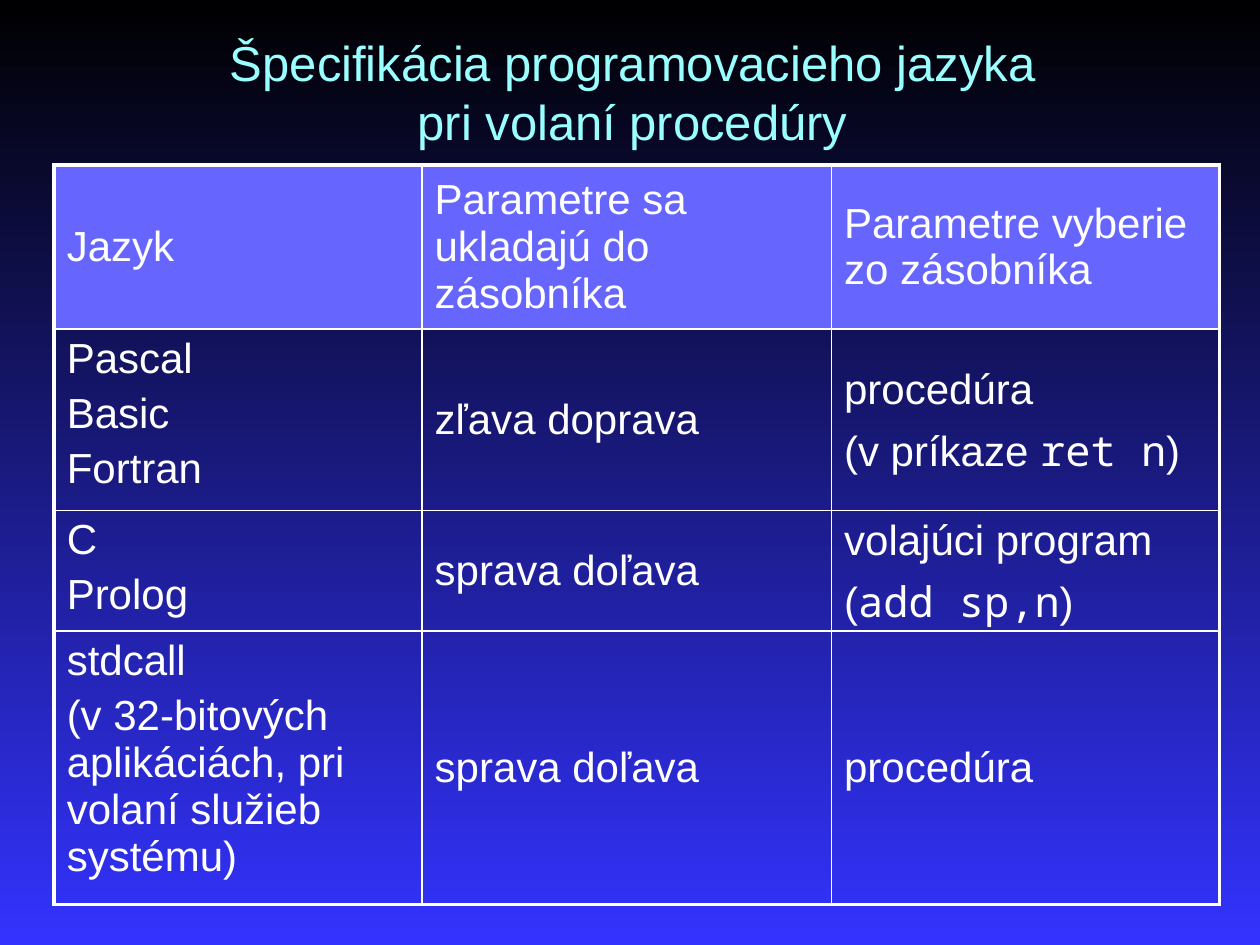
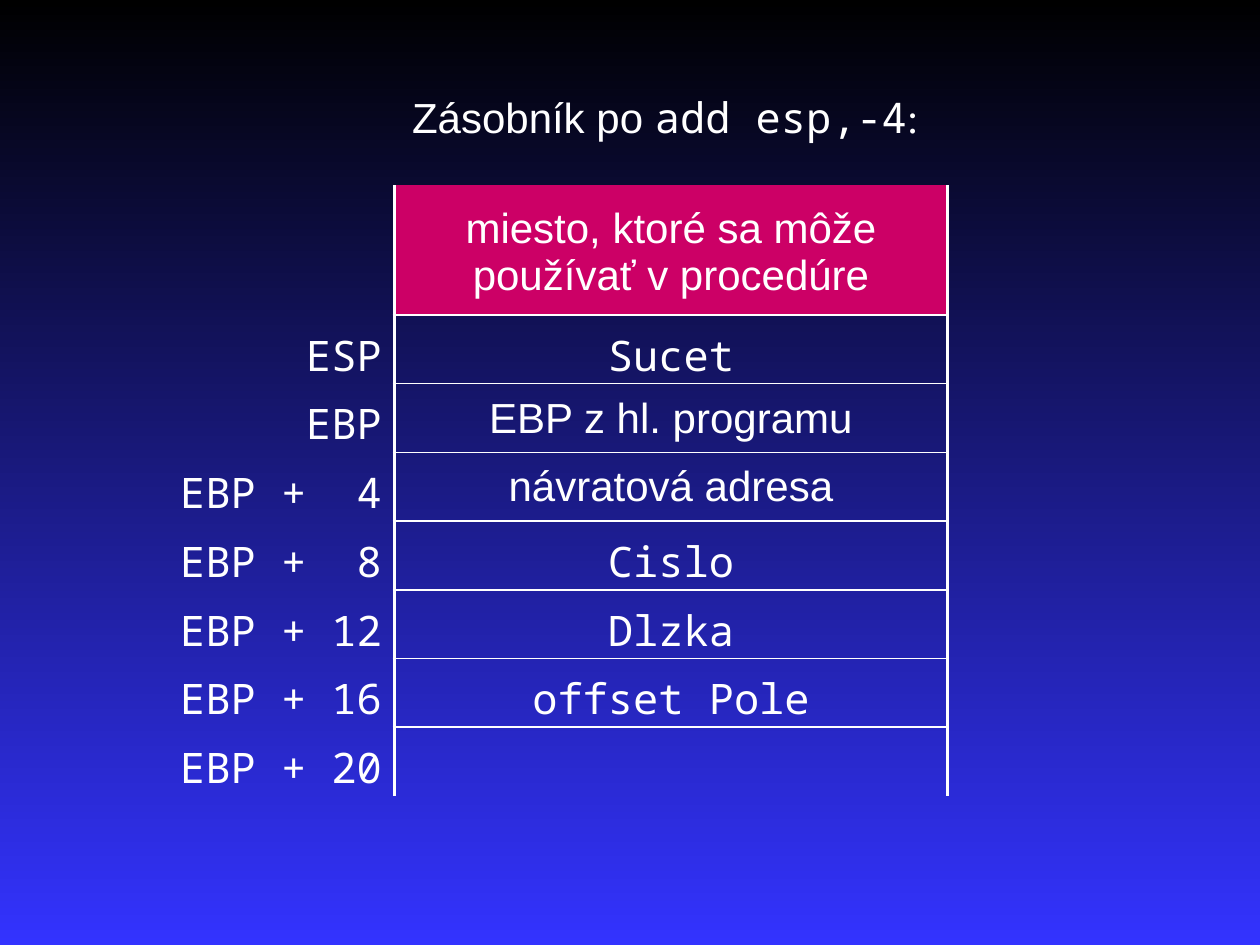
"""Build two slides on passing procedure parameters through the stack."""
from dataclasses import dataclass
from typing import NamedTuple

from lxml import etree
from pptx import Presentation, util as u
from pptx.dml.color import RGBColor
from pptx.enum import text as t
from pptx.oxml.ns import qn


@dataclass(frozen=True)
class Theme:
    """Colours, fonts, type sizes and line widths in points."""
    top: str = "000000"
    bottom: str = "3333FF"
    ink: str = "FFFFFF"
    title: str = "99FFFF"
    header: str = "6666FF"
    free: str = "CC0066"
    sans: str = "Arial"
    mono: str = "Noto Sans Mono"
    serif: str = "Times New Roman"
    title_size: float = 28
    body_size: float = 24
    gap: float = 4.8
    thick: float = 2.25
    thin: float = 1


THEME = Theme()
WIDTH, HEIGHT = u.Inches(10), u.Inches(7.5)
COLUMNS, ROWS = 100, 75
LEFT, CENTER, RIGHT = t.PP_ALIGN.LEFT, t.PP_ALIGN.CENTER, t.PP_ALIGN.RIGHT
TOP, MIDDLE = t.MSO_ANCHOR.TOP, t.MSO_ANCHOR.MIDDLE


class Run(NamedTuple):
    """A stretch of text in one font."""
    text: str
    font: str = THEME.sans


class Box(NamedTuple):
    """A place in grid columns and rows."""
    left: float
    top: float
    width: float
    height: float


class Cell(NamedTuple):
    """The paragraphs and look of a table cell."""
    lines: tuple[tuple[Run, ...], ...] = ()
    anchor: t.MSO_ANCHOR = MIDDLE
    align: t.PP_ALIGN = LEFT
    fill: str = ""


@dataclass(frozen=True)
class Grid:
    """A table with the widths of its rules; zero means no rule."""
    left: float
    top: float
    widths: tuple[float, ...]
    heights: tuple[float, ...]
    cells: list[list[Cell]]
    verticals: tuple[float, ...]
    inner: tuple[float, ...]
    outer: float
    inset_top: float


def across(columns: float) -> int:
    """Convert grid columns to a length."""
    return round(WIDTH * columns / COLUMNS)


def down(rows: float) -> int:
    """Convert grid rows to a length."""
    return round(HEIGHT * rows / ROWS)


def assign(target: object, values: dict) -> None:
    """Set every attribute given in values."""
    for name, value in values.items():
        setattr(target, name, value)


def write_line(paragraph, runs: tuple[Run, ...], size: float, color: str) -> None:
    """Write formatted runs, breaking lines at newlines."""
    for run in runs:
        for index, piece in enumerate(run.text.split("\n")):
            if index:
                paragraph.add_line_break()
            part = paragraph.add_run()
            assign(part, {"text": piece})
            assign(part.font, {"name": run.font, "size": u.Pt(size)})
            part.font.color.rgb = RGBColor.from_string(color)


def add_title(slide, box: Box, runs: tuple[Run, ...], size: float, color: str) -> None:
    """Place and fill the title placeholder."""
    title = slide.shapes.title
    assign(title, {"left": across(box.left), "top": down(box.top),
                   "width": across(box.width), "height": down(box.height)})
    assign(title.text_frame, {"word_wrap": True, "vertical_anchor": TOP,
                              "auto_size": t.MSO_AUTO_SIZE.NONE})
    heading = title.text_frame.paragraphs[0]
    heading.alignment = CENTER
    write_line(heading, runs, size, color)


def draw_border(properties, side: str, width: float) -> None:
    """Add one cell border, or an empty one for zero width."""
    line = etree.SubElement(properties, qn(f"a:ln{side}"), w=str(u.Pt(width)))
    if width:
        solid = etree.SubElement(line, qn("a:solidFill"))
        etree.SubElement(solid, qn("a:srgbClr"), val=THEME.ink)
    else:
        etree.SubElement(line, qn("a:noFill"))


def fill_cell(target, cell: Cell, borders: dict[str, float], inset_top: float) -> None:
    """Write, border and fill one table cell."""
    has_code = any(run.font == THEME.mono for line in cell.lines for run in line)
    assign(target, {"vertical_anchor": cell.anchor, "margin_left": across(1),
                    "margin_right": across(1), "margin_top": down(inset_top),
                    "margin_bottom": 0 if has_code else down(0.5)})
    for index, line in enumerate(cell.lines):
        frame = target.text_frame
        paragraph = frame.add_paragraph() if index else frame.paragraphs[0]
        assign(paragraph, {"alignment": cell.align,
                           "space_before": u.Pt(THEME.gap if index else 0)})
        write_line(paragraph, line, THEME.body_size, THEME.ink)
    properties = target._tc.get_or_add_tcPr()
    for side, width in borders.items():
        draw_border(properties, side, width)
    if cell.fill:
        target.fill.solid()
        target.fill.fore_color.rgb = RGBColor.from_string(cell.fill)
    else:
        target.fill.background()


def add_grid(slide, grid: Grid) -> None:
    """Draw a table with its rules."""
    table = slide.shapes.add_table(
        len(grid.heights), len(grid.widths), across(grid.left), down(grid.top),
        across(sum(grid.widths)), down(sum(grid.heights))).table
    assign(table, {"first_row": False, "horz_banding": False})
    for column, width in zip(table.columns, grid.widths):
        column.width = across(width)
    for row, height in zip(table.rows, grid.heights):
        row.height = down(height)
    last = len(grid.heights) - 1
    for r, row_cells in enumerate(grid.cells):
        for c, cell in enumerate(row_cells):
            borders = {"L": grid.verticals[c], "R": grid.verticals[c + 1],
                       "T": grid.inner[c] if r else grid.outer,
                       "B": grid.inner[c] if r < last else grid.outer}
            fill_cell(table.cell(r, c), cell, borders, grid.inset_top)


def plain(*lines: str, **look) -> Cell:
    """Make a cell of sans-serif paragraphs."""
    return Cell(tuple((Run(line),) for line in lines), **look)


def code(line: str, **look) -> Cell:
    """Make a cell with one monospaced paragraph."""
    return Cell(((Run(line, THEME.mono),),), **look)


def with_code(first: str, before: str, command: str) -> Cell:
    """Make a cell with a command in brackets on its second line."""
    return Cell(((Run(first),),
                 (Run(before), Run(command, THEME.mono), Run(")"))))


def build_conventions(slide) -> None:
    """Compare the calling conventions of languages."""
    add_title(slide, Box(9.8, 2.1, 80.8, 9.2),
              (Run("Špecifikácia programovacieho jazyka\npri volaní procedúry"),),
              THEME.title_size, THEME.title)
    headings = ("Jazyk", "Parametre sa ukladajú do zásobníka",
                "Parametre vyberie zo zásobníka")
    cells = [
        [plain(heading, fill=THEME.header) for heading in headings],
        [plain("Pascal", "Basic", "Fortran", anchor=TOP), plain("zľava doprava"),
         with_code("procedúra", "(v príkaze ", "ret n")],
        [plain("C", "Prolog", anchor=TOP), plain("sprava doľava"),
         with_code("volajúci program", "(", "add sp,n")],
        [plain("stdcall", "(v 32-bitových aplikáciách, pri volaní služieb systému)",
               anchor=TOP), plain("sprava doľava"), plain("procedúra")],
    ]
    add_grid(slide, Grid(
        4.3, 13.1, (29.2, 32.5, 30.8), (13, 14.4, 9.6, 21.7), cells,
        (THEME.thick, THEME.thin, THEME.thin, THEME.thick),
        (THEME.thin,) * 3, THEME.thick, 0.5))


def build_stack(slide) -> None:
    """Show the stack after reserving a local variable."""
    add_title(slide, Box(30.3, 6.8, 45, 5),
              (Run("Zásobník po "), Run("add esp,-4", THEME.mono), Run(":", THEME.serif)),
              THEME.body_size, THEME.ink)
    addresses = ["ESP", "EBP"] + [f"EBP + {offset:2}" for offset in range(4, 21, 4)]
    look = {"align": CENTER, "anchor": TOP}
    contents = [code("Sucet", **look), plain("EBP z hl. programu", **look),
                plain("návratová adresa", **look), code("Cislo", **look),
                code("Dlzka", **look), code("offset Pole", **look), Cell()]
    free_space = plain("miesto, ktoré sa môže používať v procedúre",
                       align=CENTER, fill=THEME.free)
    cells = [[Cell(), free_space]]
    cells += [[code(address, align=RIGHT, anchor=TOP), content]
              for address, content in zip(addresses, contents)]
    add_grid(slide, Grid(
        11.4, 14.7, (19.9, 43.9), (10.3,) + (5.4,) * len(addresses), cells,
        (0, THEME.thick, THEME.thick), (0, THEME.thin), 0, 0.9))


def main() -> None:
    """Build and save the presentation."""
    deck = Presentation()
    assign(deck, {"slide_width": WIDTH, "slide_height": HEIGHT})
    backdrop = deck.slide_master.background.fill
    backdrop.gradient()
    backdrop.gradient_angle = 270
    for stop, color in zip(backdrop.gradient_stops, (THEME.top, THEME.bottom)):
        stop.color.rgb = RGBColor.from_string(color)
    title_only = deck.slide_layouts.get_by_name("Title Only")
    for build in (build_conventions, build_stack):
        build(deck.slides.add_slide(title_only))
    deck.save("out.pptx")


if __name__ == "__main__":
    main()
